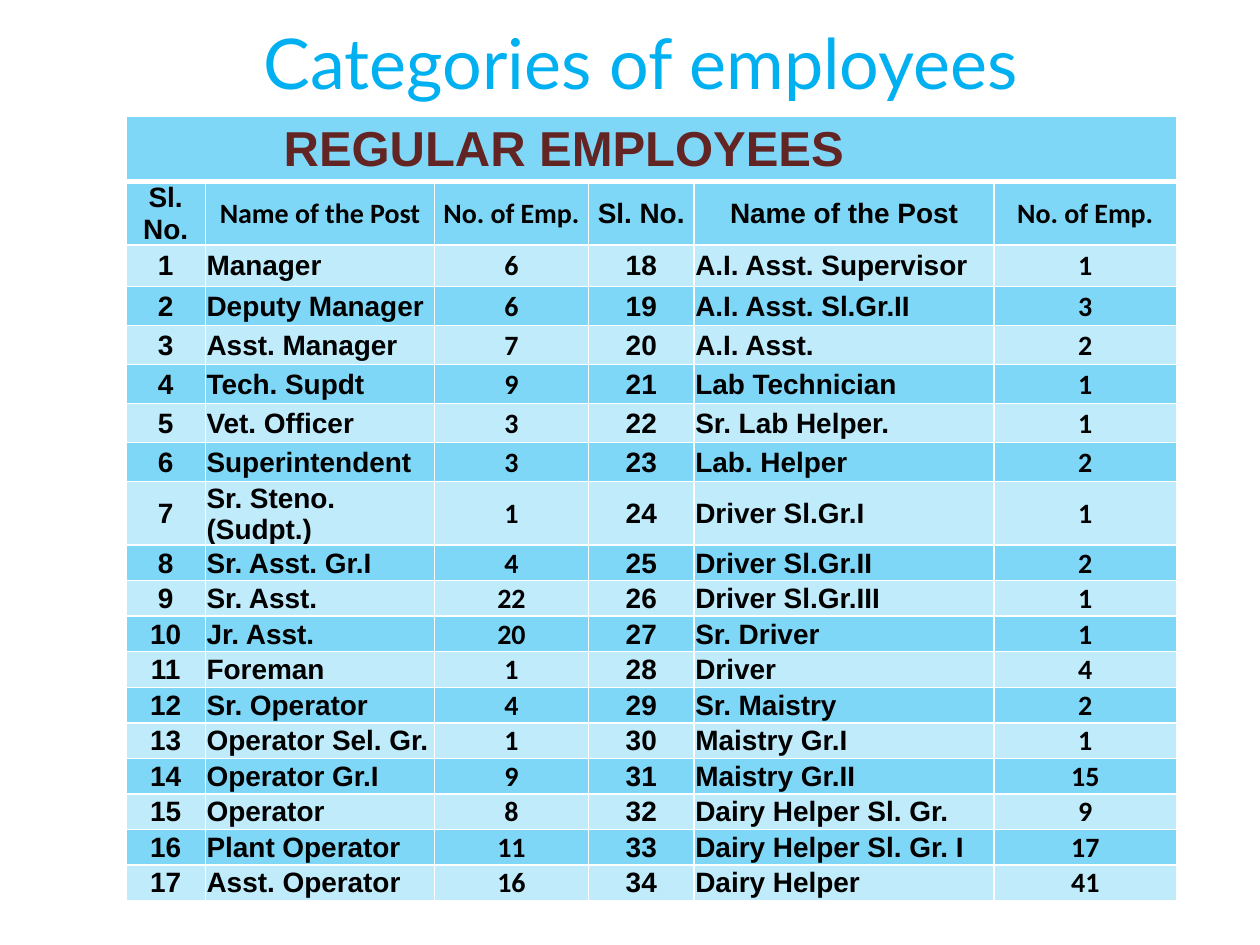
from typing import NamedTuple

from lxml.etree import SubElement
from pptx import Presentation
from pptx.dml.color import RGBColor
from pptx.enum.text import MSO_ANCHOR, PP_ALIGN
from pptx.oxml.ns import qn
from pptx.util import Inches, Pt

BLUE, WHITE, BLACK, MAROON = "00B0F0", "FFFFFF", "000000", "632523"
DARK_BAND, LIGHT_BAND = 50, 25  # fill opacity in percent


class Post(NamedTuple):
    name: str
    count: int


class Style(NamedTuple):
    font: str = "Arial"
    size: int = 16
    color: str = BLACK
    bold: bool = True
    align: PP_ALIGN = PP_ALIGN.CENTER


ARIAL = Style()
CALIBRI = Style(font="Calibri")
NAME = Style(align=PP_ALIGN.LEFT)
BANNER = Style(size=28, color=MAROON)
TITLE = Style("Lato", 40, BLUE, False)

POSTS = [
    Post("Manager", 6), Post("Deputy Manager", 6), Post("Asst. Manager", 7),
    Post("Tech. Supdt", 9), Post("Vet. Officer", 3), Post("Superintendent", 3),
    Post("Sr. Steno. (Sudpt.)", 1), Post("Sr. Asst. Gr.I", 4), Post("Sr. Asst.", 22),
    Post("Jr. Asst.", 20), Post("Foreman", 1), Post("Sr. Operator", 4),
    Post("Operator Sel. Gr.", 1), Post("Operator Gr.I", 9), Post("Operator", 8),
    Post("Plant Operator", 11), Post("Asst. Operator", 16),
    Post("A.I. Asst. Supervisor", 1), Post("A.I. Asst. Sl.Gr.II", 3), Post("A.I. Asst.", 2),
    Post("Lab Technician", 1), Post("Sr. Lab Helper.", 1), Post("Lab. Helper", 2),
    Post("Driver Sl.Gr.I", 1), Post("Driver Sl.Gr.II", 2), Post("Driver Sl.Gr.III", 1),
    Post("Sr. Driver", 1), Post("Driver", 4), Post("Sr. Maistry", 2),
    Post("Maistry Gr.I", 1), Post("Maistry Gr.II", 15), Post("Dairy Helper Sl. Gr.", 9),
    Post("Dairy Helper Sl. Gr. I", 17), Post("Dairy Helper", 41),
]
HALF = len(POSTS) // 2
HEADINGS = ["Sl. No.", "Name of the Post", "No. of Emp."] * 2
HEADING_STYLES = [ARIAL, CALIBRI, CALIBRI, ARIAL, ARIAL, CALIBRI]
COLUMN_WIDTHS = [0.63, 1.82, 1.22, 0.84, 2.38, 1.19]
ROW_HEIGHTS = [0.52, 0.5, 0.33] + [0.31] * 6 + [0.26, 0.28] + [0.26] * 8


def rgb(value: str) -> RGBColor:
    return RGBColor.from_string(value)


def add_solid_fill(parent, color: str) -> None:
    fill = SubElement(parent, qn("a:solidFill"))
    SubElement(fill, qn("a:srgbClr"), val=color)


def write(frame, text: str, style: Style):
    para = frame.paragraphs[0]
    para.alignment = style.align
    span = para.add_run()
    span.text = text
    span.font.name = style.font
    span.font.size = Pt(style.size)
    span.font.bold = style.bold
    span.font.color.rgb = rgb(style.color)
    return span


def format_cell(cell, opacity: int, top: float = 1, bottom: float = 1) -> None:
    cell.vertical_anchor = MSO_ANCHOR.MIDDLE
    cell.margin_left = cell.margin_right = cell.margin_top = Inches(0.01)
    cell.margin_bottom = 0
    properties = cell._tc.get_or_add_tcPr()
    for side, width in (("L", 1), ("R", 1), ("T", top), ("B", bottom)):
        line = SubElement(properties, qn(f"a:ln{side}"), w=str(Pt(width)))
        add_solid_fill(line, WHITE)
    cell.fill.solid()
    cell.fill.fore_color.rgb = rgb(BLUE)
    color = properties.find(qn("a:solidFill")).find(qn("a:srgbClr"))
    SubElement(color, qn("a:alpha"), val=str(opacity * 1000))


def add_title(page) -> None:
    box = page.shapes.title
    box.left, box.top = Inches(0.25), Inches(0.1)
    box.width, box.height = Inches(9.67), Inches(0.77)
    box.text_frame.word_wrap = True
    span = write(box.text_frame, "Categories of employees", TITLE)
    # White letter outline, which must come before the fill
    properties = span._r.get_or_add_rPr()
    outline = SubElement(properties, qn("a:ln"), w=str(Pt(1.4)))
    add_solid_fill(outline, WHITE)
    properties.insert(0, outline)


def add_employee_table(page) -> None:
    table = page.shapes.add_table(
        len(ROW_HEIGHTS), len(COLUMN_WIDTHS), Inches(1), Inches(0.92),
        Inches(sum(COLUMN_WIDTHS)), Inches(sum(ROW_HEIGHTS))).table
    table.first_row = table.horz_banding = False
    for column, width in zip(table.columns, COLUMN_WIDTHS):
        column.width = Inches(width)
    for row, height in zip(table.rows, ROW_HEIGHTS):
        row.height = Inches(height)

    # Banner across all columns, its text set left of centre
    banner = table.cell(0, 0)
    banner.merge(table.cell(0, len(COLUMN_WIDTHS) - 1))
    for cell in table.rows[0].cells:
        format_cell(cell, DARK_BAND, bottom=3)
    banner.margin_right = Inches(1.4)
    write(banner.text_frame, "REGULAR EMPLOYEES", BANNER)

    # Column headings
    for cell, text, style in zip(table.rows[1].cells, HEADINGS, HEADING_STYLES):
        format_cell(cell, DARK_BAND, top=3)
        write(cell.text_frame, text, style)

    # Posts, numbered down the left half and then the right half
    for index, post in enumerate(POSTS):
        half, line = divmod(index, HALF)
        values = ((str(index + 1), ARIAL), (post.name, NAME), (str(post.count), CALIBRI))
        for offset, (text, style) in enumerate(values):
            cell = table.cell(line + 2, half * 3 + offset)
            format_cell(cell, DARK_BAND if line % 2 else LIGHT_BAND)
            write(cell.text_frame, text, style)


def main() -> None:
    deck = Presentation()
    deck.slide_width, deck.slide_height = Inches(10), Inches(7.5)
    page = deck.slides.add_slide(deck.slide_layouts[5])
    add_title(page)
    add_employee_table(page)
    deck.save("out.pptx")


if __name__ == "__main__":
    main()
